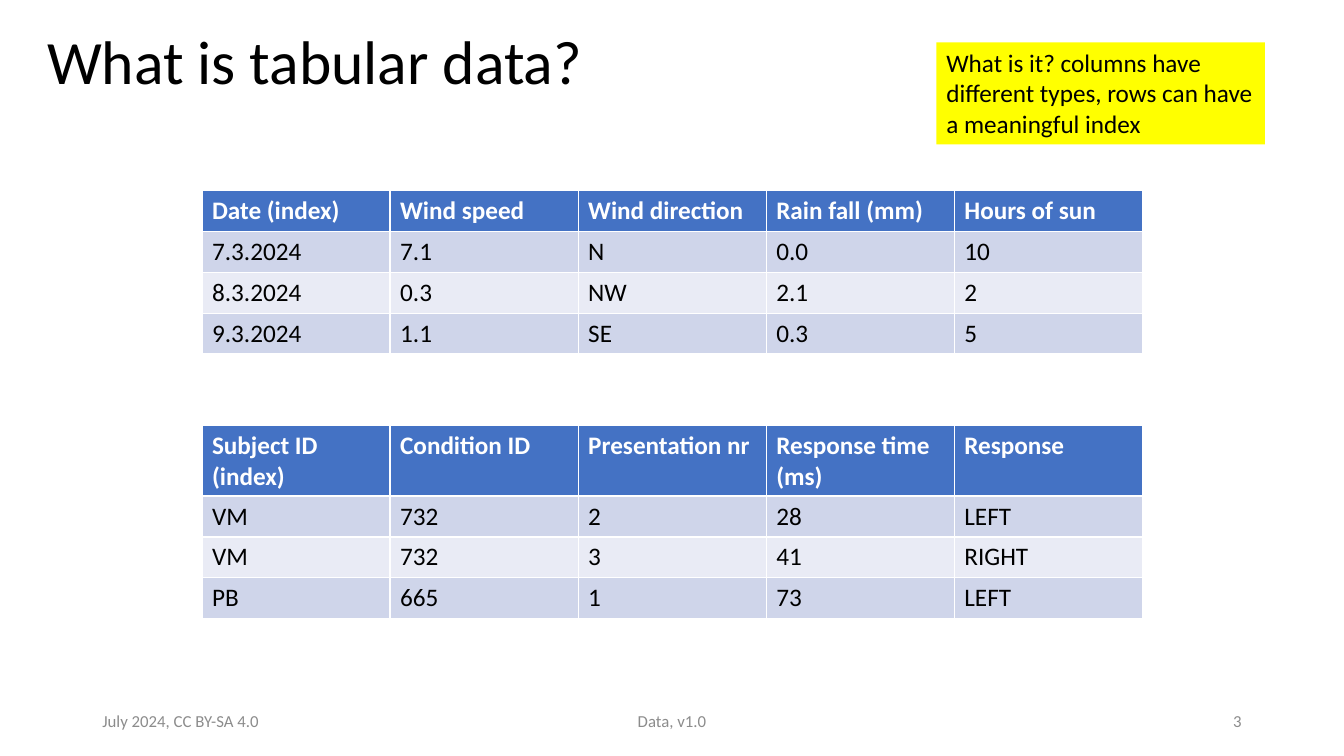
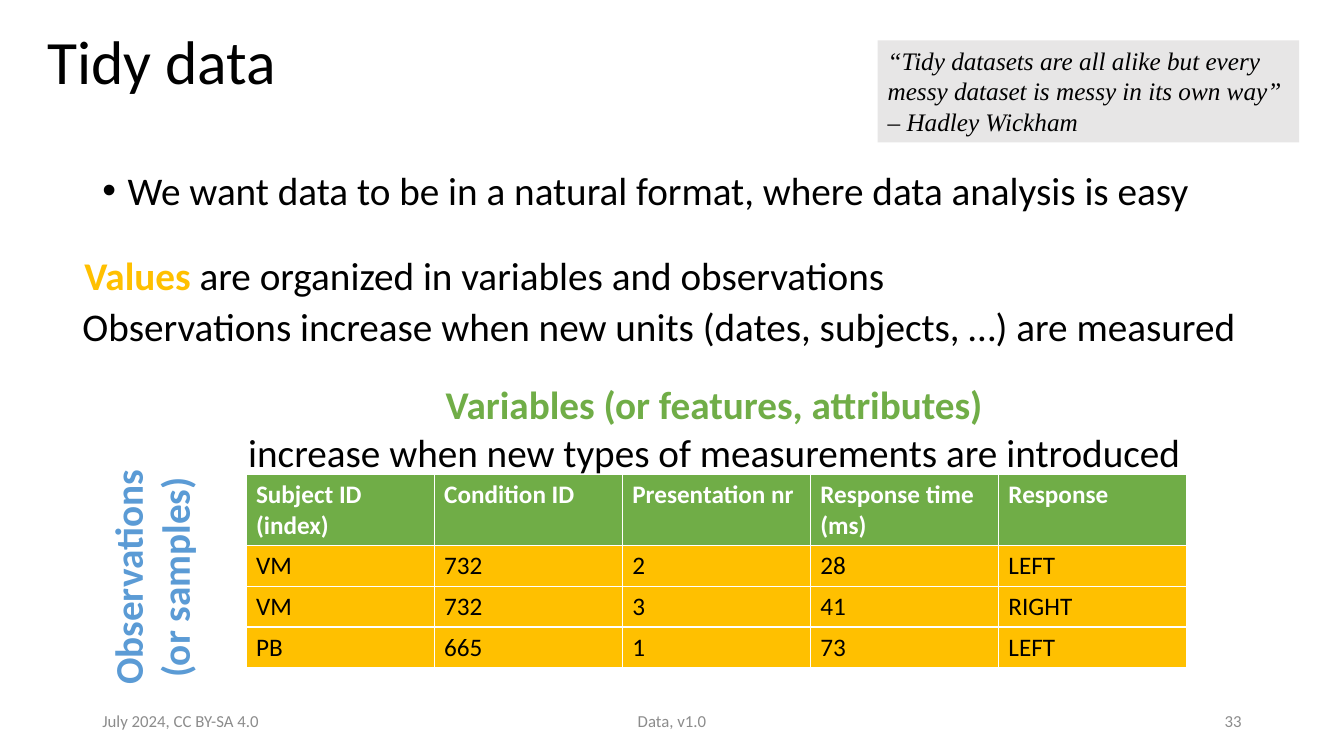
from dataclasses import dataclass

from lxml import etree
from pptx import Presentation
from pptx import util as u
from pptx.dml import color
from pptx.enum import shapes, text
from pptx.oxml import ns

LEFT, MID, RIGHT = text.PP_ALIGN.LEFT, text.PP_ALIGN.CENTER, text.PP_ALIGN.RIGHT


@dataclass(frozen=True)
class Theme:
    font: str = "Calibri"
    serif: str = "Times New Roman"
    ink: str = "000000"
    white: str = "FFFFFF"
    gray: str = "8C8C8C"
    pale: str = "E7E6E6"
    lemon: str = "FFFF00"
    blue: str = "4472C4"
    sky: str = "5B9BD5"
    green: str = "70AD47"
    gold: str = "FFC000"
    bands: tuple = ("CFD5EA", "E9EBF5")
    head: int = 44
    lead: int = 28
    body: int = 18
    foot: int = 12
    tight: float = 0.9


class Deck:
    def __init__(self, theme):
        self.theme = theme
        self.prs = Presentation()
        self.prs.slide_width = u.Cm(33.87)
        self.prs.slide_height = u.Cm(19.05)
        self.page = None

    def style(self, run, size, ink=None, bold=False, italic=False, font=None):
        face = run.font
        face.name = font or self.theme.font
        face.size = u.Pt(size)
        face.bold = bold
        face.italic = italic
        face.color.rgb = color.RGBColor.from_string(ink or self.theme.ink)

    def paint(self, fill, tint):
        fill.solid()
        fill.fore_color.rgb = color.RGBColor.from_string(tint)

    def slide(self, title, number):
        t = self.theme
        self.page = self.prs.slides.add_slide(self.prs.slide_layouts[6])
        para = self.label((0.94, 0.38, 31.8, 2.51), [[(title, {})]], t.head, middle=True)
        para.line_spacing = t.tight
        feet = (
            (2.33, 7.62, "July 2024, CC BY-SA 4.0", LEFT),
            (11.22, 11.43, "Data, v1.0", MID),
            (23.92, 7.62, str(number), RIGHT),
        )
        for left, wide, words, align in feet:
            line = [(words, {"ink": t.gray})]
            self.label((left, 17.66, wide, 1.01), [line], t.foot, align, True)

    def label(self, area, lines, size, align=LEFT, middle=False, turn=0):
        box = self.page.shapes.add_textbox(*map(u.Cm, area))
        box.rotation = turn
        frame = box.text_frame
        frame.word_wrap = True
        if middle:
            frame.vertical_anchor = text.MSO_ANCHOR.MIDDLE
        for i, line in enumerate(lines):
            para = frame.add_paragraph() if i else frame.paragraphs[0]
            para.alignment = align
            for words, look in line:
                run = para.add_run()
                run.text = words
                self.style(run, size, **look)
        return frame.paragraphs[0]

    def bullet(self, area, words):
        para = self.label(area, [[(words, {})]], self.theme.lead)
        para.line_spacing = self.theme.tight
        props = para._p.get_or_add_pPr()
        props.set("marL", str(u.Cm(0.64)))
        props.set("indent", str(-u.Cm(0.64)))
        etree.SubElement(props, ns.qn("a:buFont")).set("typeface", "Arial")
        etree.SubElement(props, ns.qn("a:buChar")).set("char", "•")

    def note(self, area, words, tint, **look):
        box = self.page.shapes.add_shape(shapes.MSO_SHAPE.RECTANGLE, *map(u.Cm, area))
        box.shadow.inherit = False
        box.line.fill.background()
        self.paint(box.fill, tint)
        frame = box.text_frame
        frame.word_wrap = True
        frame.vertical_anchor = text.MSO_ANCHOR.TOP
        frame.text = words
        para = frame.paragraphs[0]
        para.alignment = LEFT
        for run in para.runs:
            self.style(run, self.theme.body, **look)

    def table(self, left, top, rows, head, bands, first=1.03):
        t, high, wide = self.theme, 1.03, 4.74
        count = len(rows[0])
        area = (left, top, wide * count, first + high * (len(rows) - 1))
        grid = self.page.shapes.add_table(len(rows), count, *map(u.Cm, area)).table
        grid.horz_banding = False
        for col in grid.columns:
            col.width = u.Cm(wide)
        for r, row in enumerate(rows):
            grid.rows[r].height = u.Cm(high if r else first)
            tint = bands[(r - 1) % len(bands)] if r else head
            for c, words in enumerate(row):
                cell = grid.cell(r, c)
                self.paint(cell.fill, tint)
                cell.text = words
                run = cell.text_frame.paragraphs[0].runs[0]
                self.style(run, t.body, t.ink if r else t.white, bold=not r)


WEATHER = (
    ("Date (index)", "Wind speed", "Wind direction", "Rain fall (mm)", "Hours of sun"),
    ("7.3.2024", "7.1", "N", "0.0", "10"),
    ("8.3.2024", "0.3", "NW", "2.1", "2"),
    ("9.3.2024", "1.1", "SE", "0.3", "5"),
)
TRIALS = (
    ("Subject ID (index)", "Condition ID", "Presentation nr", "Response time (ms)", "Response"),
    ("VM", "732", "2", "28", "LEFT"),
    ("VM", "732", "3", "41", "RIGHT"),
    ("PB", "665", "1", "73", "LEFT"),
)


def tabular(deck):
    t = deck.theme
    deck.slide("What is tabular data?", 3)
    deck.table(5.09, 4.8, WEATHER, t.blue, t.bands)
    deck.note(
        (23.6, 1.07, 8.28, 2.57),
        "What is it? columns have different types, rows can have a meaningful index",
        t.lemon,
    )
    deck.table(5.09, 10.72, TRIALS, t.blue, t.bands, 1.78)


def tidy(deck):
    t = deck.theme
    deck.slide("Tidy data", 33)
    deck.bullet(
        (2.33, 4.19, 29.21, 1.4),
        "We want data to be in a natural format, where data analysis is easy",
    )
    deck.note(
        (22.12, 1.02, 10.62, 2.57),
        "“Tidy datasets are all alike but every messy dataset is messy in its own way”"
        "\v– Hadley Wickham",
        t.pale, italic=True, font=t.serif,
    )
    deck.table(6.2, 11.96, TRIALS, t.green, (t.gold,), 1.78)
    deck.label(
        (5.69, 9.47, 24.61, 2.64),
        [
            [("Variables (or features, attributes)", {"ink": t.green, "bold": True})],
            [("increase when new types of measurements are introduced", {})],
        ],
        t.lead, MID,
    )
    deck.label(
        (0.51, 13.23, 6.6, 2.64),
        [[("Observations (or samples)", {"ink": t.sky, "bold": True})]],
        t.lead, MID, turn=270,
    )
    deck.label(
        (1.88, 6.22, 30.12, 1.45),
        [[
            ("Values ", {"ink": t.gold, "bold": True}),
            ("are organized in variables and observations", {}),
        ]],
        t.lead,
    )
    deck.label(
        (1.83, 7.49, 30.12, 1.45),
        [[("Observations increase when new units (dates, subjects, …) are measured", {})]],
        t.lead,
    )


def main():
    deck = Deck(Theme())
    tabular(deck)
    tidy(deck)
    deck.prs.save("out.pptx")


if __name__ == "__main__":
    main()
